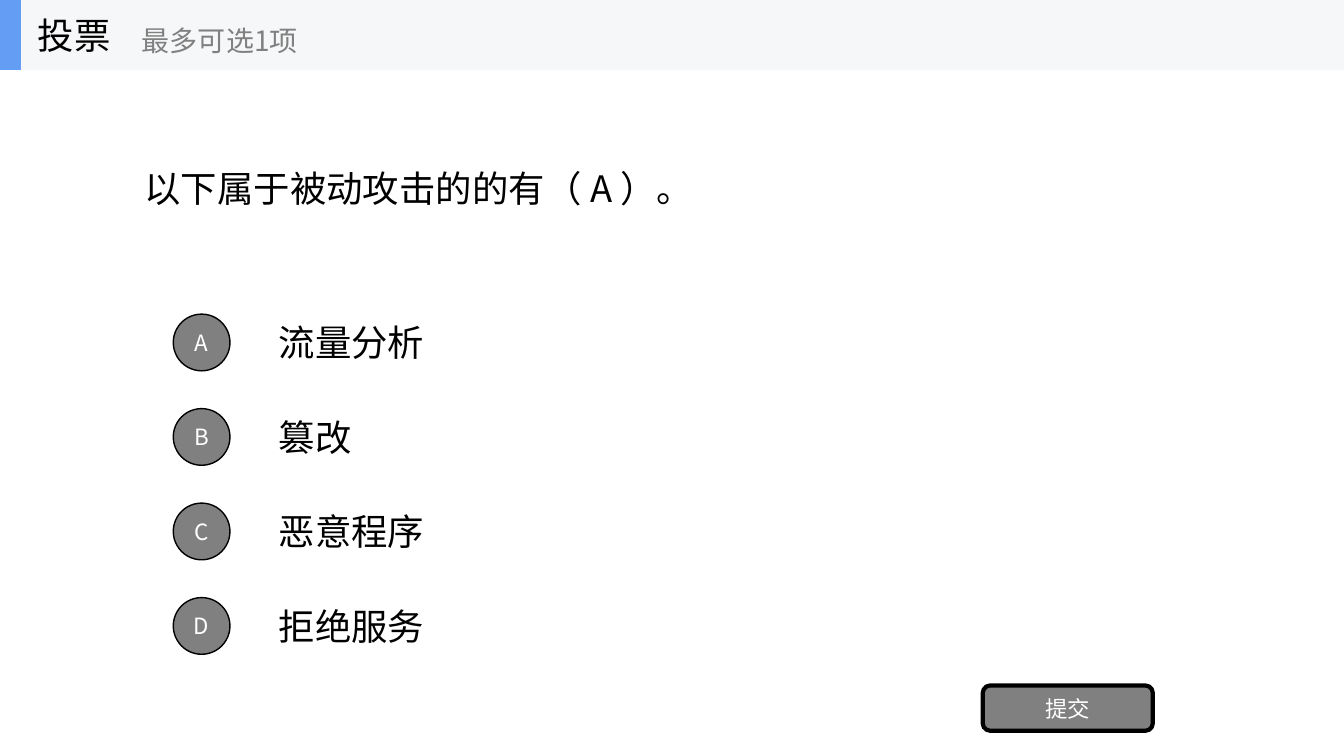
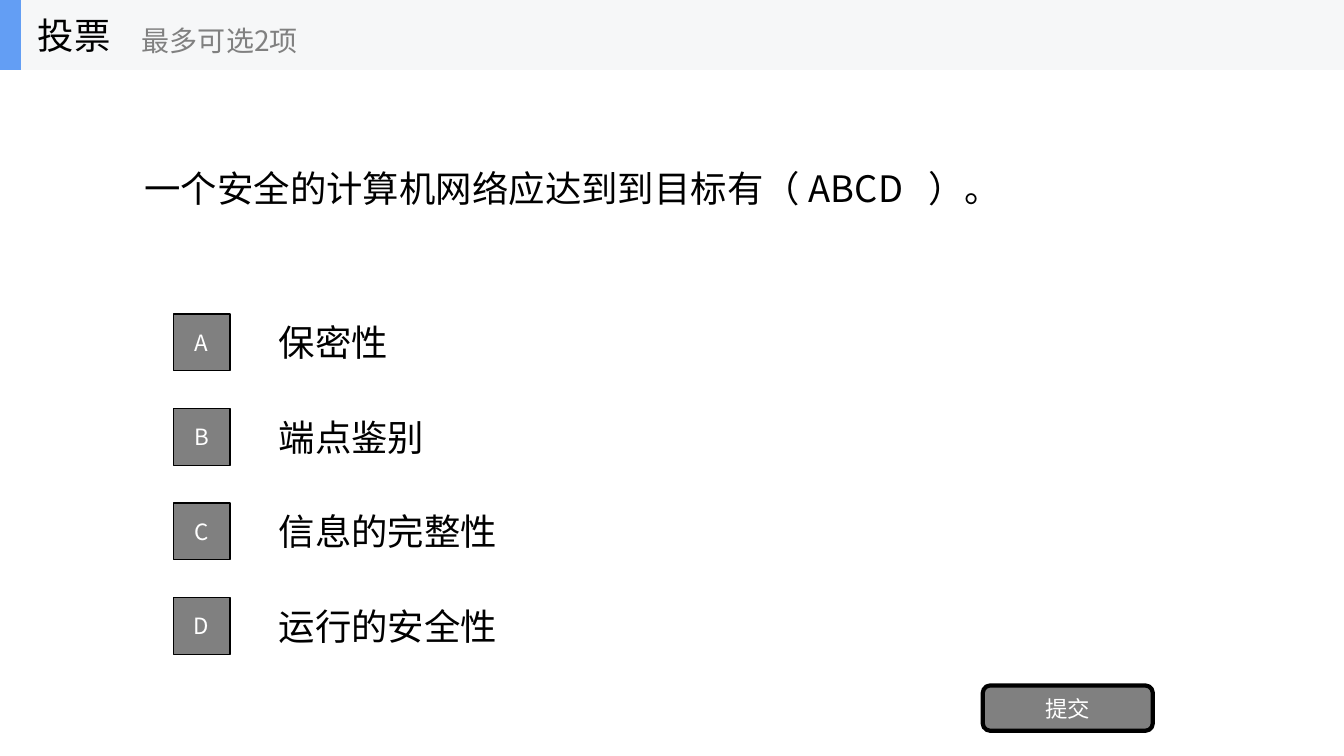
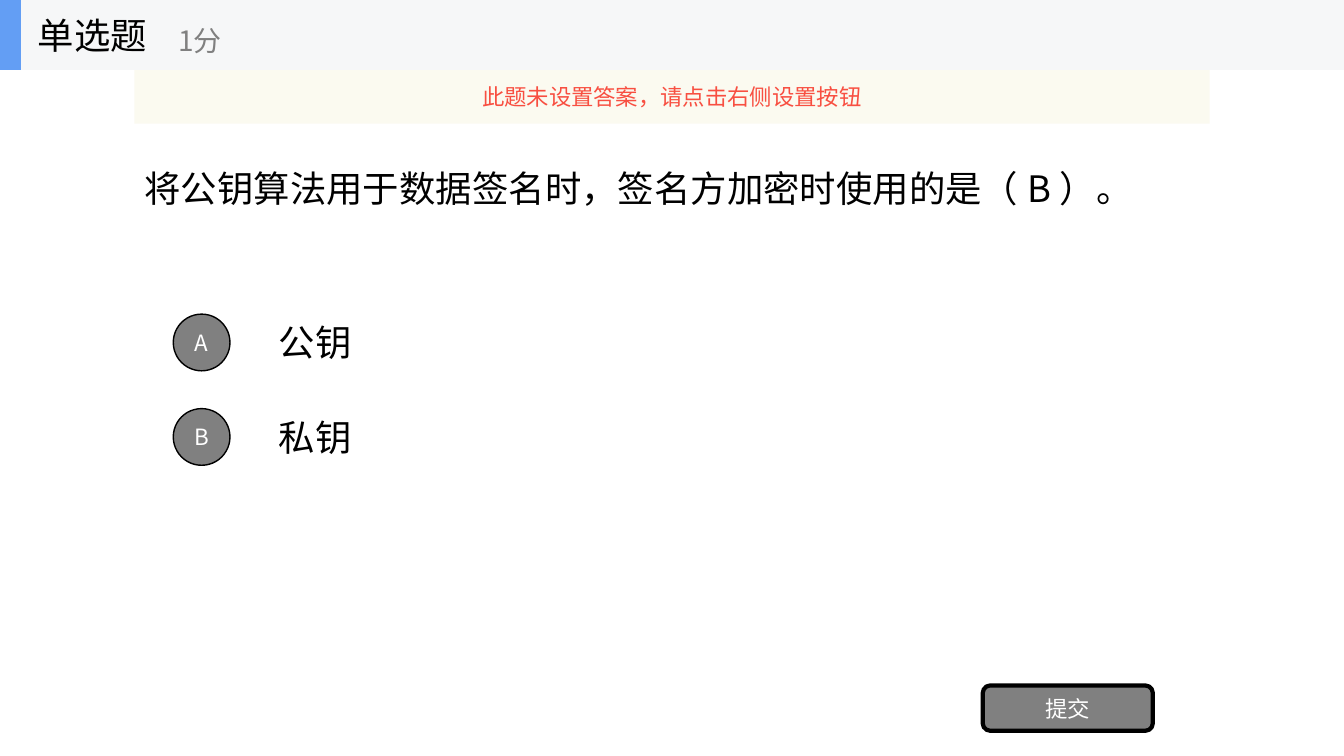
from lxml import etree
from pptx import Presentation
from pptx.dml.color import RGBColor
from pptx.enum.shapes import MSO_SHAPE as Geometry
from pptx.enum.text import MSO_ANCHOR as Anchor, PP_ALIGN as Align
from pptx.oxml.ns import qn
from pptx.util import Pt

QUESTIONS = [
    dict(kind="投票", hint="最多可选1项", badge=Geometry.OVAL,
         stem="以下属于被动攻击的的有", answer="A",
         options=["流量分析", "篡改", "恶意程序", "拒绝服务"]),
    dict(kind="投票", hint="最多可选2项", badge=Geometry.RECTANGLE,
         stem="一个安全的计算机网络应达到到目标有", answer="ABCD", answer_gap=12,
         options=["保密性", "端点鉴别", "信息的完整性", "运行的安全性"]),
    dict(kind="单选题", hint="1分", badge=Geometry.OVAL,
         stem="将公钥算法用于数据签名时，签名方加密时使用的是", answer="B",
         options=["公钥", "私钥"],
         warning="此题未设置答案，请点击右侧设置按钮"),
]
SUBMIT = "提交"

FONT = "Noto Sans CJK SC"
BLACK, WHITE, GREY = "000000", "FFFFFF", "808080"
BAND, ACCENT = "F6F7F8", "639EF4"
CREAM, RED = "FBFAEF", "F84F41"

WIDTH, HEIGHT = 960, 540
BAND_H = 50
MARGIN = 96
CONTENT_W = WIDTH - 2 * MARGIN
LARGE, MEDIUM, SMALL = 26, 20, 16
OPTION_X, OPTION_Y, OPTION_H, OPTION_PITCH = 192, 219.4, 50.4, 67.5
BADGE_X, BADGE_SIZE = 123.75, 40.5


def color(code):
    return RGBColor.from_string(code)


def box(*lengths):
    return [Pt(length) for length in lengths]


def style(frame, size, code, align=Align.LEFT):
    frame.word_wrap = True
    frame.vertical_anchor = Anchor.MIDDLE
    for paragraph in frame.paragraphs:
        paragraph.alignment = align
        for run in paragraph.runs:
            run.font.size = Pt(size)
            run.font.name = FONT
            run.font.color.rgb = color(code)
            east_asian = etree.SubElement(run.font._element, qn("a:ea"))
            east_asian.set("typeface", FONT)


def add_label(shapes, place, words, size, code):
    label = shapes.add_textbox(*box(*place))
    label.text_frame.text = words
    style(label.text_frame, size, code)


def add_block(shapes, geometry, place, fill, words="", ink=WHITE, outline=0):
    block = shapes.add_shape(geometry, *box(*place))
    block.shadow.inherit = False
    block.fill.solid()
    block.fill.fore_color.rgb = color(fill)
    if outline:
        block.line.color.rgb = color(BLACK)
        block.line.width = Pt(outline)
    else:
        block.line.fill.background()
    if words:
        block.text_frame.text = words
        style(block.text_frame, SMALL, ink, Align.CENTER)
    return block


def add_header(slide, kind, hint):
    header = slide.shapes.add_group_shape().shapes
    add_block(header, Geometry.RECTANGLE, (0, 0, WIDTH, BAND_H), BAND)
    add_block(header, Geometry.RECTANGLE, (0, 0, 15, BAND_H), ACCENT)
    add_label(header, (20, 0, 150, BAND_H), kind, LARGE, BLACK)
    hint_x = 42.3 + LARGE * len(kind)
    add_label(header, (hint_x, 8.8, 180, 40.5), hint, MEDIUM, GREY)


def set_question(slide, stem, answer, gap):
    question = slide.shapes.title
    question.left, question.top, question.width, question.height = box(
        MARGIN, BAND_H, CONTENT_W, 168.5)
    paragraph = question.text_frame.paragraphs[0]
    for part in (f"{stem}（ {answer}", " ", "）。"):
        paragraph.add_run().text = part
    style(question.text_frame, LARGE, BLACK)
    if gap:
        paragraph.runs[1].font._element.set("spc", str(gap * 100))


def add_options(slide, options, badge):
    for row, option in enumerate(options):
        top = OPTION_Y + row * OPTION_PITCH
        add_label(slide.shapes, (OPTION_X, top, 672, OPTION_H), option, LARGE, BLACK)
        badge_y = top + (OPTION_H - BADGE_SIZE) / 2
        add_block(slide.shapes, badge, (BADGE_X, badge_y, BADGE_SIZE, BADGE_SIZE),
                  GREY, "ABCD"[row], outline=1)


def add_warning(slide, words):
    warning = add_block(slide.shapes, Geometry.RECTANGLE,
                        (MARGIN, BAND_H, CONTENT_W, 38.4), CREAM, words, RED)
    fill = warning.fill._xPr.find(qn("a:solidFill"))
    etree.SubElement(fill[0], qn("a:alpha")).set("val", "90000")


def main():
    deck = Presentation()
    deck.slide_width, deck.slide_height = box(WIDTH, HEIGHT)
    title_only = deck.slide_layouts[5]
    for item in QUESTIONS:
        slide = deck.slides.add_slide(title_only)
        set_question(slide, item["stem"], item["answer"], item.get("answer_gap", 0))
        add_options(slide, item["options"], item["badge"])
        add_block(slide.shapes, Geometry.ROUNDED_RECTANGLE, (702, 489.6, 121.5, 32.4),
                  GREY, SUBMIT, outline=3)
        add_header(slide, item["kind"], item["hint"])
        if "warning" in item:
            add_warning(slide, item["warning"])
    deck.save("out.pptx")


if __name__ == "__main__":
    main()
